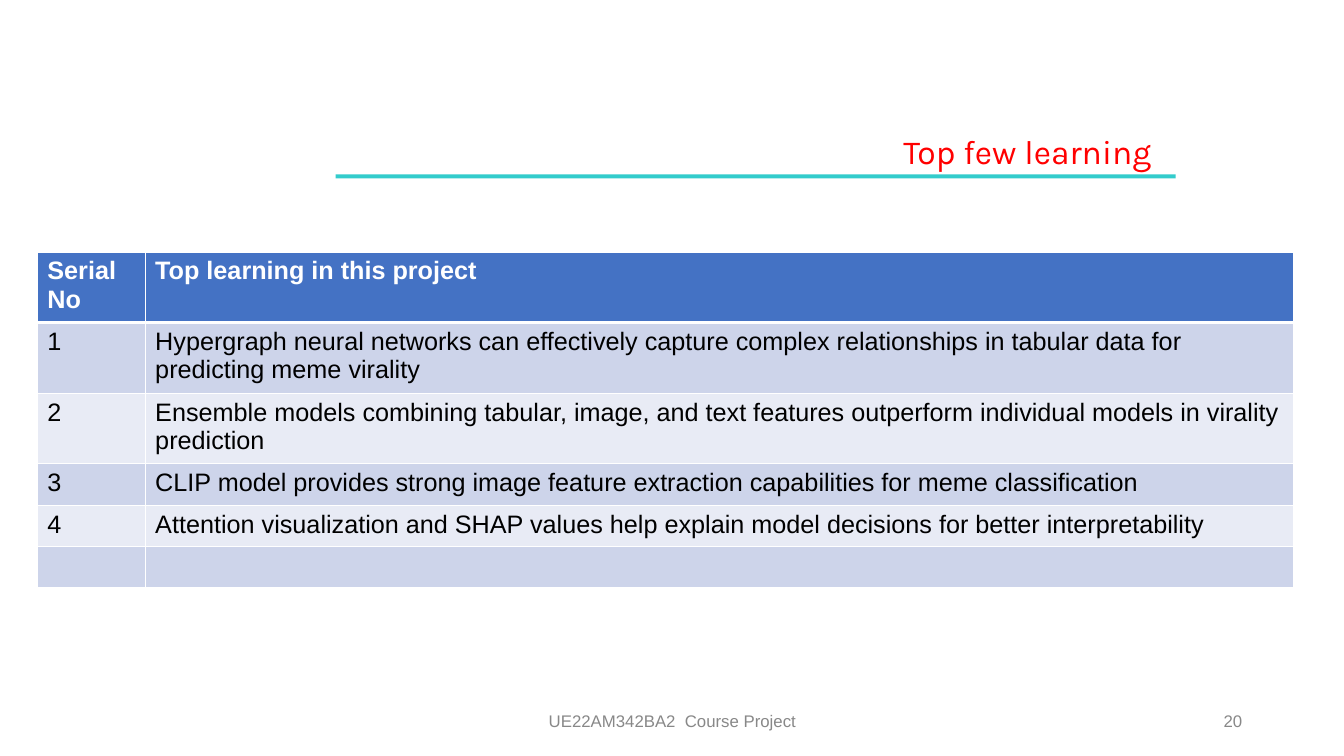
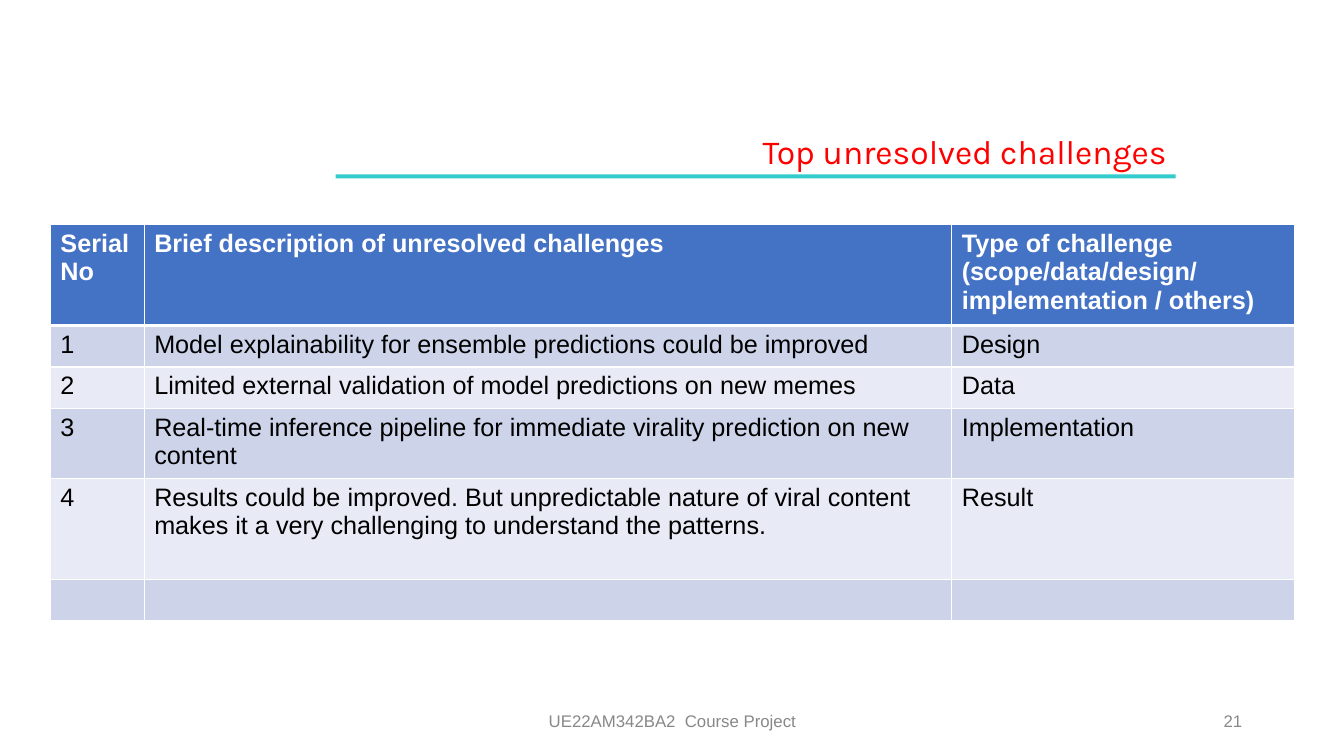
from lxml import etree
from pptx import Presentation
from pptx.dml.color import RGBColor
from pptx.enum.shapes import MSO_SHAPE
from pptx.enum.text import MSO_ANCHOR, PP_ALIGN
from pptx.oxml.ns import qn
from pptx.util import Inches, Pt

RECTANGLE = MSO_SHAPE.RECTANGLE
TOP, MIDDLE = MSO_ANCHOR.TOP, MSO_ANCHOR.MIDDLE
LEFT, CENTER, RIGHT = PP_ALIGN.LEFT, PP_ALIGN.CENTER, PP_ALIGN.RIGHT


def color(value):
    return RGBColor.from_string(value)


def write_text(frame, text, size=18, font="Arial", fill="000000", bold=False, align=LEFT):
    for index, line in enumerate(text.split("\n")):
        paragraph = frame.add_paragraph() if index else frame.paragraphs[0]
        paragraph.alignment = align
        if line:
            run = paragraph.add_run()
            run.text = line
            run.font.size = Pt(size)
            run.font.name = font
            run.font.bold = bold
            run.font.color.rgb = color(fill)


def set_borders(cell, fill, **widths):
    properties = cell._tc.get_or_add_tcPr()
    for side in ("L", "R", "T", "B"):
        line = etree.SubElement(properties, qn(f"a:ln{side}"), w=str(Pt(widths.get(side, 1))))
        solid = etree.SubElement(line, qn("a:solidFill"))
        etree.SubElement(solid, qn("a:srgbClr"), val=fill)


class Deck:
    WHITE = "FFFFFF"
    ACCENT = "33CCCC"
    TITLE = "FF0000"
    FOOTER = "888888"
    HEADER = "4472C4"
    BANDS = ("CDD4EA", "E8EBF5")
    FOOTER_TEXT = "UE22AM342BA2  Course Project"

    def __init__(self):
        self.presentation = Presentation()
        self.presentation.slide_width = Inches(13.33)
        self.presentation.slide_height = Inches(7.5)
        self.slide = None

    def add_slide(self, title, number, title_inset=0.1):
        self.slide = self.presentation.slides.add_slide(self.presentation.slide_layouts[6])
        self.add_bar(3.33, 1.73, 8.33, 0.04)
        self.add_text(title, 3.17, 1.25, 8.5, 0.5, right_inset=title_inset,
                      size=24, font="Karla", fill=self.TITLE, align=RIGHT)
        footer = {"size": 12, "fill": self.FOOTER, "anchor": MIDDLE}
        self.add_text(str(number), 9.42, 6.95, 3, 0.4, align=RIGHT, **footer)
        self.add_text(self.FOOTER_TEXT, 4.42, 6.95, 4.5, 0.4, align=CENTER, **footer)

    def add_bar(self, left, top, width, height):
        shape = self.slide.shapes.add_shape(
            RECTANGLE, Inches(left), Inches(top), Inches(width), Inches(height))
        shape.shadow.inherit = False
        shape.fill.solid()
        shape.fill.fore_color.rgb = color(self.ACCENT)
        shape.line.fill.background()

    def add_text(self, text, left, top, width, height, anchor=TOP, right_inset=0.1, **style):
        shape = self.slide.shapes.add_textbox(
            Inches(left), Inches(top), Inches(width), Inches(height))
        frame = shape.text_frame
        frame.word_wrap = True
        frame.vertical_anchor = anchor
        frame.margin_right = Inches(right_inset)
        write_text(frame, text, **style)

    def add_table(self, left, top, widths, heights, rows):
        table = self.slide.shapes.add_table(
            len(heights), len(widths), Inches(left), Inches(top),
            Inches(sum(widths)), Inches(sum(heights))).table
        for column, width in zip(table.columns, widths):
            column.width = Inches(width)
        for row, height in zip(table.rows, heights):
            row.height = Inches(height)
        for row_index, values in enumerate(rows):
            header = row_index == 0
            fill = self.HEADER if header else self.BANDS[(row_index - 1) % 2]
            for column_index, value in enumerate(values):
                cell = table.cell(row_index, column_index)
                set_borders(cell, self.WHITE, T=3 if row_index == 1 else 1, B=3 if header else 1)
                cell.fill.solid()
                cell.fill.fore_color.rgb = color(fill)
                write_text(cell.text_frame, value, bold=header,
                           fill=self.WHITE if header else "000000")


def main():
    deck = Deck()

    deck.add_slide("Top few learning", 20, title_inset=0.25)
    deck.add_table(0.37, 2.5, (1.07, 11.39), (0.69, 0.7, 0.7, 0.41, 0.41, 0.41), [
        ("Serial\nNo", "Top learning in this project"),
        ("1", "Hypergraph neural networks can effectively capture complex relationships "
              "in tabular data for predicting meme virality"),
        ("2", "Ensemble models combining tabular, image, and text features outperform "
              "individual models in virality prediction"),
        ("3", "CLIP model provides strong image feature extraction capabilities "
              "for meme classification"),
        ("4", "Attention visualization and SHAP values help explain model decisions "
              "for better interpretability"),
        ("", ""),
    ])

    deck.add_slide("Top unresolved challenges", 21)
    deck.add_table(0.5, 2.23, (0.93, 8.01, 3.4), (0.99, 0.41, 0.41, 0.7, 1, 0.41), [
        ("Serial No", "Brief description of unresolved challenges",
         "Type of challenge\n(scope/data/design/implementation / others)"),
        ("1", "Model explainability for ensemble predictions could be improved", "Design"),
        ("2", "Limited external validation of model predictions on new memes", "Data"),
        ("3", "Real-time inference pipeline for immediate virality prediction on new content",
         "Implementation"),
        ("4", "Results could be improved. But unpredictable nature of viral content makes it "
              "a very challenging to understand the patterns.", "Result"),
        ("", "", ""),
    ])

    deck.presentation.save("out.pptx")


if __name__ == "__main__":
    main()
